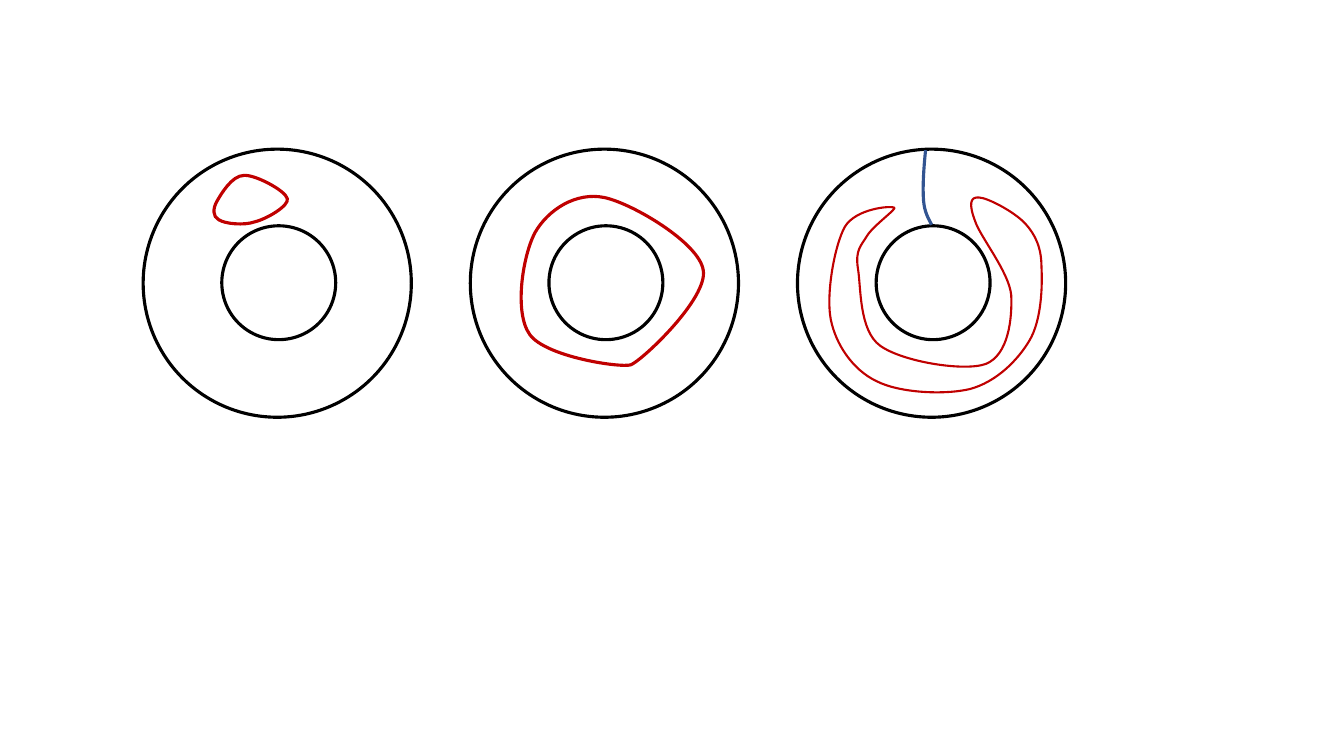
from lxml import etree
from pptx import Presentation
from pptx.dml.color import RGBColor
from pptx.enum.shapes import MSO_SHAPE
from pptx.oxml.ns import qn
from pptx.util import Inches, Pt

OVAL = MSO_SHAPE.OVAL
COLORS = {"ring": "000000", "loop": "C00000", "cut": "325491"}

RING_LEFT, RING_TOP, RING_SIZE = 1.42, 1.48, 2.66
RING_PITCH = 6.49 / 2
HOLE_LEFT, HOLE_TOP, HOLE_SIZE = 0.78, 0.76, 1.13

# Bezier curves in inches from the ring's corner: a start point, then
# two control points and an end point for each segment
SMALL_LOOP = [
    (0.73, 0.52),
    (0.77, 0.45), (0.88, 0.26), (1.0, 0.26),
    (1.11, 0.25), (1.41, 0.41), (1.43, 0.49),
    (1.45, 0.56), (1.23, 0.69), (1.11, 0.72),
    (1.0, 0.76), (0.81, 0.74), (0.75, 0.7),
    (0.69, 0.67), (0.69, 0.59), (0.73, 0.52),
]
LOOP_AROUND_HOLE = [
    (0.64, 0.83),
    (0.77, 0.6), (1.05, 0.42), (1.33, 0.48),
    (1.61, 0.54), (2.27, 0.93), (2.31, 1.2),
    (2.36, 1.48), (1.7, 2.1), (1.59, 2.14),
    (1.48, 2.17), (0.75, 2.06), (0.59, 1.84),
    (0.43, 1.62), (0.52, 1.06), (0.64, 0.83),
]
CUT = [
    (1.27, 0.01),
    (1.25, 0.2), (1.24, 0.39), (1.25, 0.51),
    (1.26, 0.63), (1.3, 0.69), (1.33, 0.75),
]
HORSESHOE_LOOP = [
    (0.69, 0.86),
    (0.75, 0.76), (0.99, 0.59), (0.96, 0.58),
    (0.92, 0.56), (0.58, 0.59), (0.47, 0.77),
    (0.37, 0.95), (0.28, 1.43), (0.33, 1.69),
    (0.38, 1.94), (0.55, 2.19), (0.78, 2.3),
    (1.01, 2.42), (1.46, 2.44), (1.71, 2.38),
    (1.97, 2.31), (2.18, 2.1), (2.3, 1.9),
    (2.42, 1.7), (2.43, 1.36), (2.42, 1.17),
    (2.42, 0.98), (2.36, 0.85), (2.26, 0.74),
    (2.15, 0.62), (1.88, 0.48), (1.8, 0.48),
    (1.71, 0.47), (1.7, 0.55), (1.76, 0.71),
    (1.81, 0.87), (2.1, 1.22), (2.12, 1.45),
    (2.13, 1.69), (2.09, 2.04), (1.87, 2.13),
    (1.66, 2.21), (1.04, 2.11), (0.82, 1.95),
    (0.61, 1.8), (0.63, 1.37), (0.6, 1.19),
    (0.57, 1.0), (0.63, 0.96), (0.69, 0.86),
]

# Curves in each ring: points, box within the ring, colour name, line width
RINGS = [
    [(SMALL_LOOP, (0.7, 0.26, 0.73, 0.48), "loop", 2.25)],
    [(LOOP_AROUND_HOLE, (0.5, 0.47, 1.81, 1.68), "loop", 2.25)],
    [(CUT, (1.24, 0.01, 0.09, 0.73), "cut", 2.25),
     (HORSESHOE_LOOP, (0.32, 0.48, 2.11, 1.94), "loop", 1.5)],
]


def style_outline(shape, color, width):
    shape.shadow.inherit = False
    shape.fill.background()
    shape.line.color.rgb = RGBColor.from_string(COLORS[color])
    shape.line.width = Pt(width)


def add_circle(slide, left, top, size):
    circle = slide.shapes.add_shape(
        OVAL, Inches(left), Inches(top), Inches(size), Inches(size))
    style_outline(circle, "ring", 2.25)


def add_curve(slide, left, top, points, box, color, width):
    box_left, box_top, box_width, box_height = box

    # The box's diagonal fixes the frame; the curve then takes its place
    builder = slide.shapes.build_freeform(
        Inches(left + box_left), Inches(top + box_top))
    builder.add_line_segments(
        [(Inches(left + box_left + box_width), Inches(top + box_top + box_height))],
        close=False)
    shape = builder.convert_to_shape()
    outline = shape._element.find(".//" + qn("a:path"))
    for command in list(outline):
        outline.remove(command)

    def add_command(tag, command_points):
        command = etree.SubElement(outline, qn(tag))
        for x, y in command_points:
            etree.SubElement(command, qn("a:pt"),
                             x=str(Inches(x - box_left)), y=str(Inches(y - box_top)))

    add_command("a:moveTo", points[:1])
    for first in range(1, len(points), 3):
        add_command("a:cubicBezTo", points[first:first + 3])
    if points[0] == points[-1]:
        add_command("a:close", [])
    style_outline(shape, color, width)


def add_ring(slide, left, top, curves):
    add_circle(slide, left, top, RING_SIZE)
    add_circle(slide, left + HOLE_LEFT, top + HOLE_TOP, HOLE_SIZE)
    for points, box, color, width in curves:
        add_curve(slide, left, top, points, box, color, width)


def main():
    presentation = Presentation()
    presentation.slide_width = Inches(13.33)
    presentation.slide_height = Inches(7.5)
    slide = presentation.slides.add_slide(presentation.slide_layouts[6])
    for index, curves in enumerate(RINGS):
        add_ring(slide, RING_LEFT + index * RING_PITCH, RING_TOP, curves)
    presentation.save("out.pptx")


if __name__ == "__main__":
    main()
